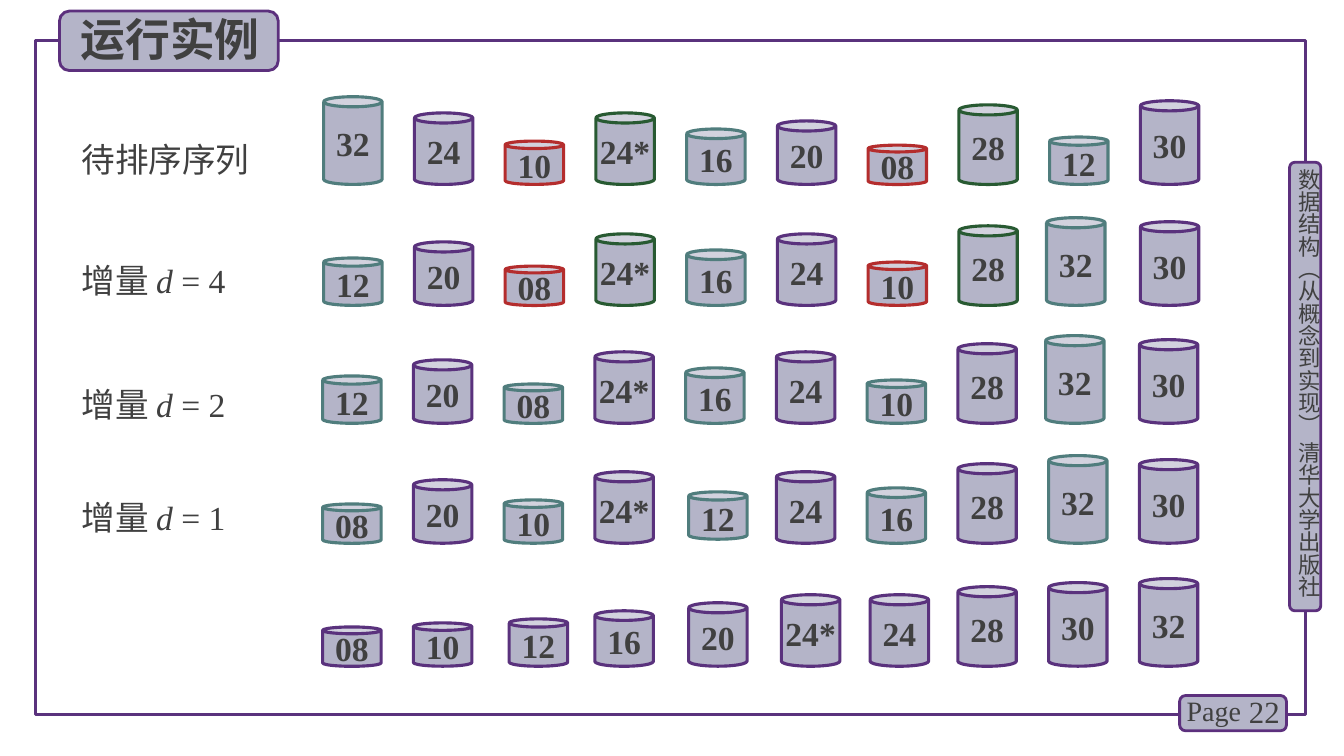
from dataclasses import dataclass

from lxml import etree
from pptx import Presentation
from pptx.dml.color import RGBColor
from pptx.enum.shapes import MSO_SHAPE as Preset
from pptx.enum.text import MSO_ANCHOR as Anchor, MSO_AUTO_SIZE as AutoSize, PP_ALIGN as Align
from pptx.oxml.ns import qn
from pptx.util import Inches, Pt


@dataclass(frozen=True)
class Theme:
    text: str = "404040"
    panel: str = "B4B4C8"
    badge_edge: str = "5C307D"
    purple: str = "5A327D"
    teal: str = "507D7D"
    red: str = "B42D2D"
    green: str = "285A32"
    latin: str = "Times New Roman"
    cjk: str = "Noto Sans CJK SC"
    title: int = 32
    body: int = 24
    number: int = 22
    page: int = 20
    side: int = 16
    edge: float = 2.25
    badge_line: float = 2


THEME = Theme()
GAP_4 = (THEME.teal, THEME.purple, THEME.red, THEME.green)
GAP_2 = (THEME.teal, THEME.purple)
SORTED = (THEME.purple,)

CAN_WIDTH = 0.58
CAN_PITCH = 0.9

# Each row: left, bottom, group colours, values, sideways nudges by column
ROWS = [
    (3.21, 1.83, GAP_4, "32 24 10 24* 16 20 08 28 12 30", {}),
    (3.21, 3.03, GAP_4, "12 20 08 24* 16 24 10 28 32 30", {8: -0.03}),
    (3.2, 4.2, GAP_2, "12 20 08 24* 16 24 10 28 32 30", {8: -0.03}),
    (3.2, 5.39, GAP_2, "08 20 10 24* 12 24 16 28 32 30", {4: 0.03}),
    (3.2, 6.61, SORTED, "08 10 12 16 20 24* 24 28 30 32",
     {2: 0.05, 4: 0.03, 5: 0.05, 6: 0.03}),
]
RAISED = {(3, 4): 0.04}

LABELS = [
    (1.33, ["待排序序列"]),
    (2.53, ["增量 ", "d", " = 4"]),
    (3.76, ["增量 ", "d", " = 2"]),
    (4.88, ["增量 ", "d", " = 1"]),
]


def style_run(run, size, bold=False, italic=False, latin=THEME.latin):
    run.font.size = Pt(size)
    run.font.bold = bold
    run.font.italic = italic
    run.font.name = latin
    run.font.color.rgb = RGBColor.from_string(THEME.text)
    east_asian = etree.Element(qn("a:ea"), typeface=THEME.cjk)
    run.font._element.find(qn("a:latin")).addnext(east_asian)


def add_outline(slide, preset, place, edge, width, fill=THEME.panel):
    outline = slide.shapes.add_shape(preset, *map(Inches, place))
    outline.shadow.inherit = False
    if fill:
        outline.fill.solid()
        outline.fill.fore_color.rgb = RGBColor.from_string(fill)
    else:
        outline.fill.background()
    outline.line.color.rgb = RGBColor.from_string(edge)
    outline.line.width = Pt(width)
    return outline


def add_badge(slide, place):
    add_outline(slide, Preset.ROUNDED_RECTANGLE, place, THEME.badge_edge, THEME.badge_line)


def add_caption(slide, place, parts, size, bold=False, latin=THEME.latin,
                anchor=Anchor.TOP, align=Align.LEFT, grow=True):
    frame = slide.shapes.add_textbox(*map(Inches, place)).text_frame
    frame.word_wrap = True
    frame.auto_size = AutoSize.SHAPE_TO_FIT_TEXT if grow else AutoSize.NONE
    frame.vertical_anchor = anchor
    line = frame.paragraphs[0]
    line.alignment = align
    for part in parts:
        run = line.add_run()
        run.text = part
        style_run(run, size, bold, part == "d", latin)
    return frame


def add_can(slide, left, bottom, value, edge):
    height = 0.23 + 0.02 * int(value.rstrip("*"))
    can = add_outline(slide, Preset.CAN, (left, bottom - height, CAN_WIDTH, height),
                      edge, THEME.edge)
    can.adjustments[0] = 0.173
    frame = can.text_frame
    frame.text = value
    frame.word_wrap = False
    frame.vertical_anchor = Anchor.MIDDLE
    frame.paragraphs[0].alignment = Align.CENTER
    style_run(frame.paragraphs[0].runs[0], THEME.body, bold=True)


def add_side_title(slide):
    add_badge(slide, (12.79, 1.61, 0.31, 4.45))
    frame = add_caption(slide, (12.85, 1.67, 0.27, 4.49),
                        ["数据结构（从概念到实现） 清华大学出版社"], THEME.side, latin=THEME.cjk)
    frame.margin_left = frame.margin_right = frame.margin_top = frame.margin_bottom = 0
    frame._txBody.bodyPr.set("vert", "eaVert")


def add_page_number(slide):
    add_badge(slide, (11.7, 6.9, 1.06, 0.35))
    add_caption(slide, (12.2, 6.86, 0.59, 0.4), ["22"], THEME.number,
                anchor=Anchor.MIDDLE, align=Align.RIGHT, grow=False)
    add_caption(slide, (11.67, 6.83, 0.78, 0.44), ["Page"], THEME.page)


def add_title(slide):
    add_badge(slide, (0.59, 0.11, 2.17, 0.59))
    add_caption(slide, (0.7, 0.07, 2.04, 0.64), ["运行实例"], THEME.title,
                bold=True, latin=THEME.cjk)


def main():
    deck = Presentation()
    deck.slide_width, deck.slide_height = Inches(13.33), Inches(7.5)
    slide = deck.slides.add_slide(deck.slide_layouts[6])

    add_outline(slide, Preset.RECTANGLE, (0.35, 0.4, 12.6, 6.69),
                THEME.purple, THEME.edge, fill=None)
    add_side_title(slide)
    add_page_number(slide)
    add_title(slide)
    for top, parts in LABELS:
        add_caption(slide, (0.71, top, 2.06, 0.5), parts, THEME.body, anchor=Anchor.MIDDLE)
    for row, (left, bottom, hues, values, nudges) in enumerate(ROWS):
        for column, value in enumerate(values.split()):
            add_can(slide, left + column * CAN_PITCH + nudges.get(column, 0),
                    bottom - RAISED.get((row, column), 0), value, hues[column % len(hues)])

    deck.save("out.pptx")


if __name__ == "__main__":
    main()
